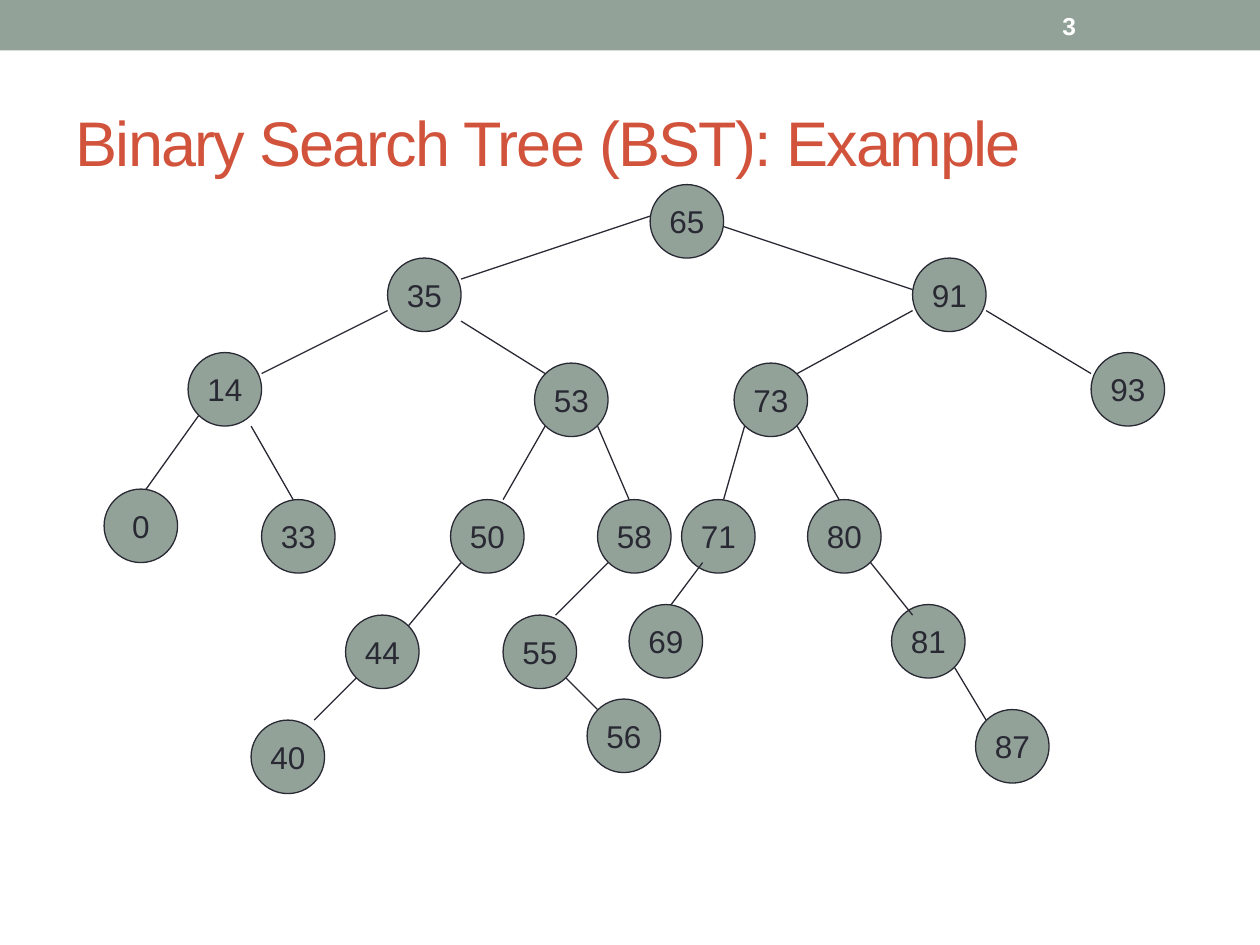
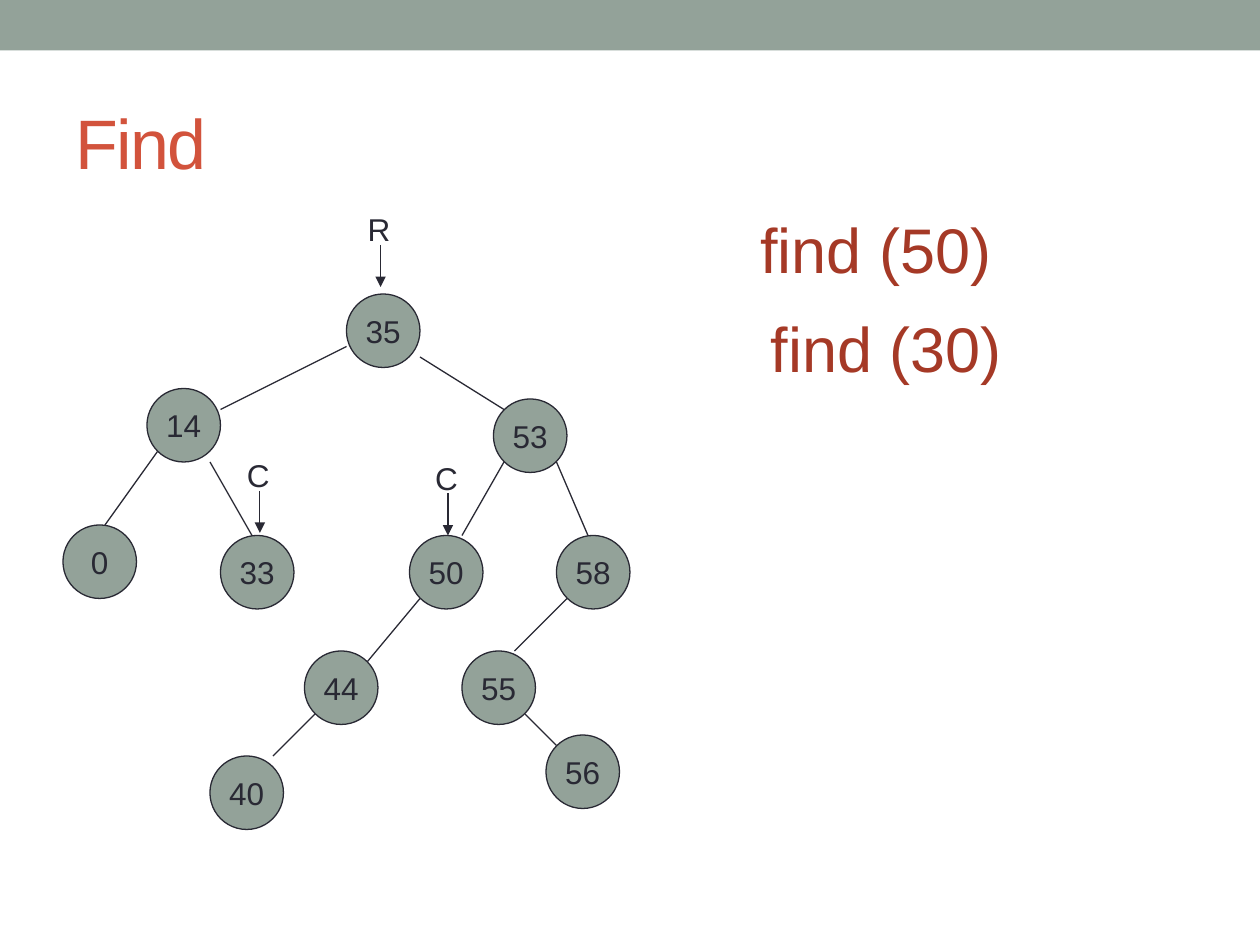
"""Build two slides about binary search trees: an example tree and find."""
from lxml import etree
from pptx import Presentation
from pptx.dml.color import RGBColor
from pptx.enum import shapes, text
from pptx.oxml import ns
from pptx.util import Pt

SAGE = RGBColor(0x93, 0xA2, 0x99)
INK = RGBColor(0x29, 0x29, 0x34)
BRICK = RGBColor(0xD2, 0x53, 0x3C)
RUST = RGBColor(0xA5, 0x39, 0x26)
WHITE = RGBColor(0xFF, 0xFF, 0xFF)
FONT = "Arial"

GRID = 6
NODE_SIZE = 7 * GRID

# Key: node corner in grid units.
NODES = {
    91: (87, 24), 65: (62, 17), 73: (70, 34), 53: (51, 34), 14: (18, 33),
    35: (37, 24), 93: (104, 33), 50: (43, 47), 33: (25, 47), 0: (10, 46),
    40: (24, 68), 44: (33, 58), 56: (56, 66), 55: (48, 58), 58: (57, 47),
    81: (85, 57), 80: (77, 47), 71: (65, 47), 87: (93, 67), 69: (60, 57),
}

# (parent, child): branch start and end in grid units.
BRANCHES = {
    (65, 35): ((62, 20), (44, 26)), (65, 91): ((69, 21), (87, 27)),
    (35, 14): ((37, 29), (25, 35)), (35, 53): ((44, 30), (52, 35)),
    (91, 73): ((87, 29), (76, 35)), (91, 93): ((94, 29), (104, 35)),
    (14, 0): ((19, 39), (14, 46)), (14, 33): ((24, 40), (28, 47)),
    (53, 50): ((52, 40), (48, 47)), (53, 58): ((57, 40), (60, 47)),
    (73, 71): ((71, 40), (69, 47)), (73, 80): ((76, 40), (80, 47)),
    (58, 55): ((58, 53), (53, 58)), (50, 44): ((44, 53), (39, 59)),
    (44, 40): ((34, 64), (30, 68)), (55, 56): ((54, 64), (57, 67)),
    (71, 69): ((67, 53), (64, 57)), (80, 81): ((83, 53), (87, 58)),
    (81, 87): ((91, 63), (94, 68)),
}


def style_text(frame, words, size, color, bold=False):
    """Write one paragraph and format its run."""
    frame.text = words
    run = frame.paragraphs[0].runs[0]
    run.font.name = FONT
    run.font.size = Pt(size)
    run.font.color.rgb = color
    run.font.bold = bold
    return run


def add_label(parent, words, box, size, color, bold=False, wrap=True,
              align=text.PP_ALIGN.LEFT, anchor=text.MSO_ANCHOR.TOP):
    """Add a text box at box = left, top, width, height."""
    frame = parent.shapes.add_textbox(*map(Pt, box)).text_frame
    frame.word_wrap = wrap
    frame.vertical_anchor = anchor
    style_text(frame, words, size, color, bold)
    frame.paragraphs[0].alignment = align


def add_line(parent, start, end, arrow=False):
    """Add a thin straight line, with an arrowhead at its end if asked."""
    line = parent.shapes.add_connector(
        shapes.MSO_CONNECTOR.STRAIGHT, *map(Pt, (*start, *end)))
    line.line.color.rgb = INK
    line.line.width = Pt(0.75)
    properties = line._element.spPr
    etree.SubElement(properties, ns.qn("a:effectLst"))
    if arrow:
        head = etree.SubElement(properties.find(ns.qn("a:ln")), ns.qn("a:tailEnd"))
        head.set("type", "triangle")


def add_node(parent, key, left, top):
    """Add a round tree node showing its key."""
    node = parent.shapes.add_shape(
        shapes.MSO_SHAPE.OVAL, *map(Pt, (left, top, NODE_SIZE, NODE_SIZE)))
    node.shadow.inherit = False
    node.fill.solid()
    node.fill.fore_color.rgb = SAGE
    node.line.color.rgb = INK
    node.line.width = Pt(0.75)
    frame = node.text_frame
    frame.word_wrap = False
    frame.vertical_anchor = text.MSO_ANCHOR.MIDDLE
    style_text(frame, str(key), 18, INK)
    frame.paragraphs[0].alignment = text.PP_ALIGN.CENTER


def subtree(root):
    """Return the set of keys at and below root."""
    keys = {root}
    for parent, child in BRANCHES:
        if parent == root:
            keys |= subtree(child)
    return keys


def add_tree(slide, root, origin):
    """Draw the tree below root as a group, its grid starting at origin."""
    def place(point):
        return [start + GRID * step for start, step in zip(origin, point)]

    keys = subtree(root)
    tree = slide.shapes.add_group_shape()
    for key, corner in NODES.items():
        if key in keys:
            add_node(tree, key, *place(corner))
    for (parent, _), (start, end) in BRANCHES.items():
        if parent in keys:
            add_line(tree, place(start), place(end))


def add_pointer(slide, name, left, top):
    """Add a named arrow that points down at a node."""
    pointer = slide.shapes.add_group_shape()
    add_label(pointer, name, (left, top, 27, 29), 18, INK, wrap=False,
              align=text.PP_ALIGN.CENTER)
    add_line(pointer, (left + 14.5, top + 23.5), (left + 14.5, top + 47.5), arrow=True)


def add_slide(deck, heading, size):
    """Add a slide with the top band and a title."""
    slide = deck.slides.add_slide(deck.slide_layouts[5])
    band = slide.shapes.add_shape(
        shapes.MSO_SHAPE.RECTANGLE, 0, 0, deck.slide_width, Pt(28.8))
    band.shadow.inherit = False
    band.fill.solid()
    band.fill.fore_color.rgb = SAGE
    band.line.fill.background()

    title = slide.shapes.title
    title.left, title.top, title.width, title.height = map(Pt, (36, 42, 648, 78))
    frame = title.text_frame
    frame.auto_size = text.MSO_AUTO_SIZE.NONE
    frame.vertical_anchor = text.MSO_ANCHOR.MIDDLE
    run = style_text(frame, heading, size, BRICK)
    run.font._element.set("spc", "-100")
    frame.paragraphs[0].alignment = text.PP_ALIGN.LEFT
    return slide


def build_example(deck):
    """Build the slide with the whole tree."""
    slide = add_slide(deck, "Binary Search Tree (BST): Example", 36)
    add_label(slide, "3", (600, 1.5, 84, 26), 14, WHITE, bold=True,
              anchor=text.MSO_ANCHOR.MIDDLE)
    add_tree(slide, 65, (-0.5, 3.5))


def build_find(deck):
    """Build the slide with the left subtree and two searches."""
    slide = add_slide(deck, "Find", 40)
    add_tree(slide, 35, (-24, 24))
    add_label(slide, "find (50)", (427.5, 116.5, 158.5, 51), 36, RUST)
    add_label(slide, "find (30)", (433.5, 173.5, 158.5, 51), 36, RUST)
    for name, left, top in (("R", 203, 116.5), ("C", 241.5, 258.5), ("C", 134, 257)):
        add_pointer(slide, name, left, top)


def main():
    """Build and save the deck."""
    deck = Presentation()
    deck.slide_width, deck.slide_height = Pt(720), Pt(540)
    build_example(deck)
    build_find(deck)
    deck.save("out.pptx")


main()
